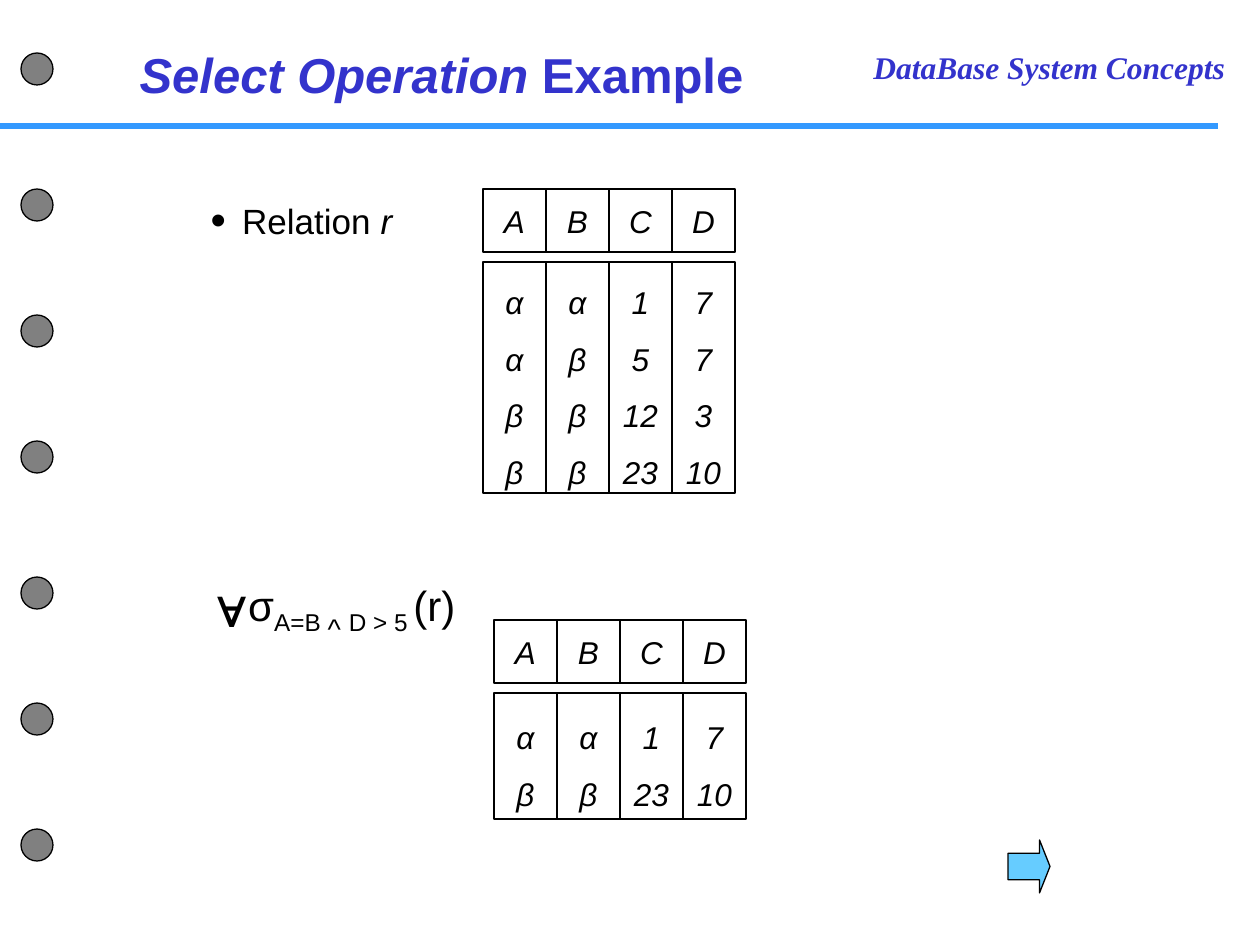
from lxml import etree
from pptx import Presentation
from pptx import util as u
from pptx.dml.color import RGBColor
from pptx.enum import shapes, text
from pptx.oxml.ns import qn

SCALE = 914400 / 126
INK = {"black": "000000", "white": "FFFFFF", "blue": "3333CC", "rule": "3399FF",
       "dot": "808080", "arrow": "66CCFF"}
CELL, STEP = 63, 73  # cell side, and drop from the header row to the columns
LEFT, MID = text.PP_ALIGN.LEFT, text.PP_ALIGN.CENTER
TOP, CENTER = text.MSO_ANCHOR.TOP, text.MSO_ANCHOR.MIDDLE
SHAPE = shapes.MSO_SHAPE

PLAIN = {"name": "Arial", "size": u.Pt(18), "bold": False, "italic": False}
SLANT = PLAIN | {"italic": True}
HEAD = SLANT | {"size": u.Pt(28), "bold": True}
LIST = PLAIN | {"size": u.Pt(20)}
SIGMA = PLAIN | {"size": u.Pt(24)}


def px(n):
    return u.Emu(round(n * SCALE))


def rgb(key):
    return RGBColor.from_string(INK[key])


def style(obj, form):
    for key, val in form.items():
        setattr(obj, key, val)


def place(shape, box):
    style(shape, dict(zip(("left", "top", "width", "height"), map(px, box))))


def write(shape, paras, ink="black", align=MID, anchor=CENTER, wrap=False, gap=1.0):
    """Fill a shape; each paragraph is a list of (words, format, baseline)."""
    frame = shape.text_frame
    style(frame, {"word_wrap": wrap, "auto_size": text.MSO_AUTO_SIZE.NONE,
                  "vertical_anchor": anchor,
                  "margin_left": u.Inches(0.1), "margin_right": u.Inches(0.1),
                  "margin_top": u.Inches(0.05), "margin_bottom": u.Inches(0.05)})
    for i, runs in enumerate(paras):
        para = frame.add_paragraph() if i else frame.paragraphs[0]
        style(para, {"alignment": align, "line_spacing": gap, "space_before": u.Pt(0)})
        for words, form, base in runs:
            run = para.add_run()
            run.text = words
            style(run.font, form)
            run.font.color.rgb = rgb(ink)
            if base:
                run.font._element.set("baseline", str(base * 1000))


def bullet(shape, mark):
    props = shape.text_frame.paragraphs[0]._p.get_or_add_pPr()
    props.set("marL", str(u.Inches(0.25)))
    props.set("indent", str(-u.Inches(0.25)))
    hue = etree.SubElement(props, qn("a:buClr"))
    etree.SubElement(hue, qn("a:srgbClr")).set("val", INK["black"])
    etree.SubElement(props, qn("a:buSzPct")).set("val", "125000")
    etree.SubElement(props, qn("a:buFont")).set("typeface", "Arial")
    etree.SubElement(props, qn("a:buChar")).set("char", mark)


def item(shape, box, mark, runs):
    place(shape, box)
    bullet(shape, mark)
    write(shape, [runs])


def draw(slide, kind, box, fill):
    shape = slide.shapes.add_shape(kind, *map(px, box))
    shape.shadow.inherit = False
    shape.fill.solid()
    shape.fill.fore_color.rgb = rgb(fill)
    shape.line.color.rgb = rgb("black")
    shape.line.width = u.Pt(0.75)
    return shape


def rule(slide, x1, y1, x2, y2):
    line = slide.shapes.add_connector(shapes.MSO_CONNECTOR.STRAIGHT,
                                      *map(px, (x1, y1, x2, y2)))
    line.line.color.rgb = rgb("rule")
    line.line.width = u.Pt(3)
    etree.SubElement(line._element.spPr, qn("a:effectLst"))


def relation(slide, x, y, height, cols):
    """Draw a row of header cells above one tall box per column."""
    for i, (name, vals) in enumerate(cols.items()):
        left = x + i * CELL
        head = draw(slide, SHAPE.RECTANGLE, (left, y, CELL, CELL), "white")
        write(head, [[(name, SLANT, 0)]])
        body = draw(slide, SHAPE.RECTANGLE, (left, y + STEP, CELL, height), "white")
        write(body, [[(val, SLANT, 0)] for val in vals.split()], gap=1.5)


def main():
    deck = Presentation()
    deck.slide_width, deck.slide_height = px(1260), px(945)
    slide = deck.slides.add_slide(deck.slide_layouts[3])
    title, first, second = slide.placeholders

    rule(slide, 0, 126, 1218, 126)
    for y in (53, 189, 315, 441, 577, 703, 829):
        draw(slide, SHAPE.OVAL, (21, y, 32, 32), "dot")
    book = slide.shapes.add_textbox(*map(px, (861, 42, 399, 51)))
    serif = SLANT | {"name": "Times New Roman", "bold": True}
    write(book, [[("DataBase System Concepts", serif, 0)]], "blue", LEFT, TOP, True)

    place(title, (127, 38, 629, 72))
    write(title, [[("Select Operation ", HEAD, 0),
                   ("Example", HEAD | {"italic": False}, 0)]], "blue", LEFT, TOP)

    item(first, (198, 193, 207, 55), "•",
         [("Relation", LIST, 0), (" r", LIST | {"italic": True}, 0)])
    relation(slide, 483, 189, 231, {"A": "α α β β", "B": "α β β β",
                                    "C": "1 5 12 23", "D": "7 7 3 10"})

    item(second, (202, 566, 268, 86), "∀",
         [("σ", SIGMA, 0), ("A=B ", SIGMA, -25),
          ("^ ", SIGMA | {"size": u.Pt(28)}, -38), ("D > 5", SIGMA, -25),
          (" ", LIST, -25), ("(r)", SIGMA, 0)])
    relation(slide, 494, 620, 126, {"A": "α β", "B": "α β", "C": "1 23", "D": "7 10"})

    arrow = draw(slide, SHAPE.RIGHT_ARROW, (1008, 840, 42, 53), "arrow")
    arrow.adjustments[1] = 0.25
    deck.save("out.pptx")


if __name__ == "__main__":
    main()
